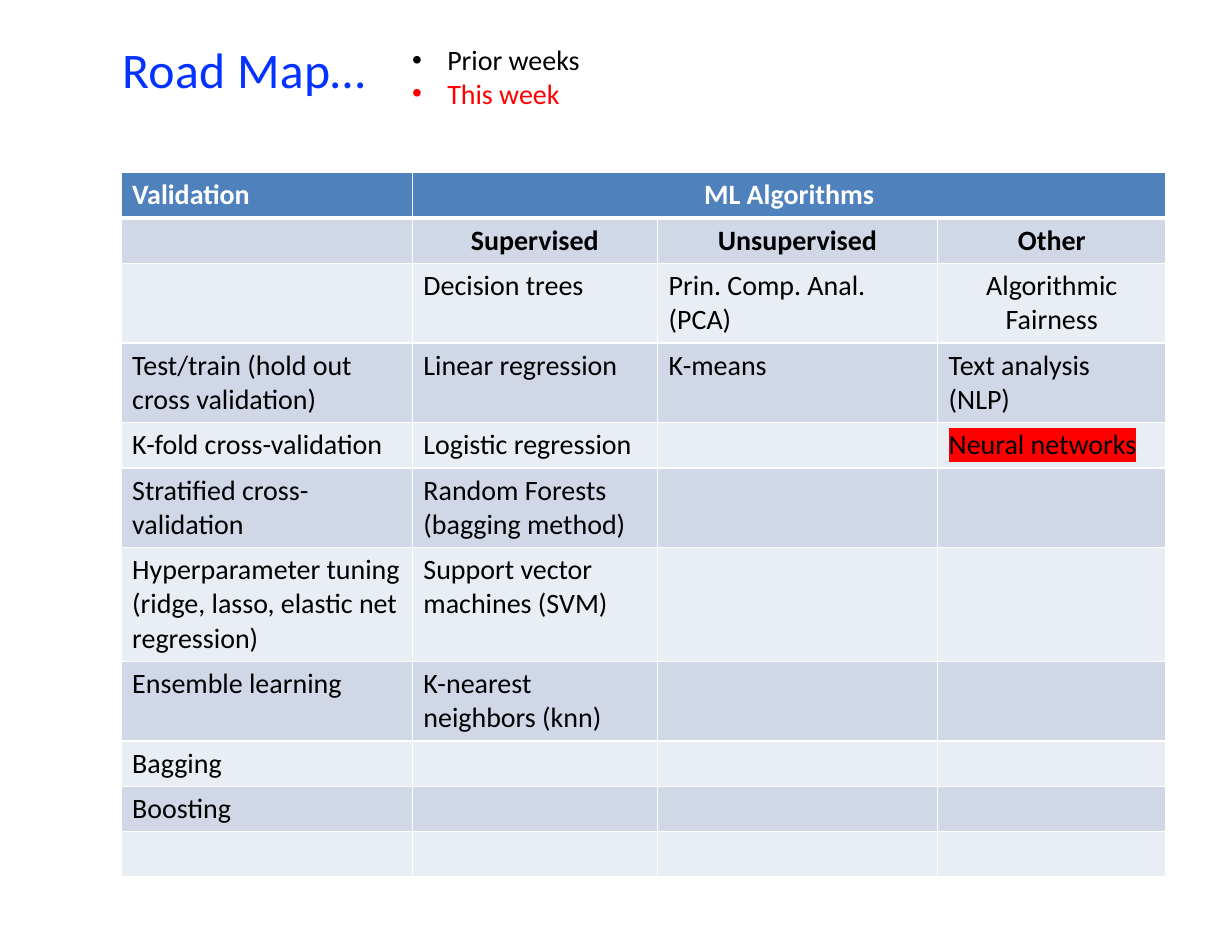
from lxml.etree import SubElement
from pptx import Presentation
from pptx.dml.color import RGBColor
from pptx.enum.text import MSO_ANCHOR, MSO_AUTO_SIZE, PP_ALIGN
from pptx.oxml import parse_xml
from pptx.oxml.ns import nsdecls, qn
from pptx.util import Pt

FONT = "Calibri"
HEADER, BAND_DARK, BAND_LIGHT = "4F81BD", "D0D8E8", "E9EDF4"
BLACK, WHITE, RED, BLUE = "000000", "FFFFFF", "FF0000", "0432FF"
COLUMN_WIDTHS = [187.2, 157.7, 180, 146.9]
SINGLE, DOUBLE, TRIPLE = 28.7, 50.4, 72
ROADMAP = [
    (SINGLE, ["Validation", "ML Algorithms"]),
    (SINGLE, ["", "Supervised", "Unsupervised", "Other"]),
    (DOUBLE, ["", "Decision trees", "Prin. Comp. Anal. (PCA)", "Algorithmic Fairness"]),
    (DOUBLE, ["Test/train (hold out cross validation)", "Linear regression",
              "K-means", "Text analysis (NLP)"]),
    (SINGLE, ["K-fold cross-validation", "Logistic regression", "", "Neural networks"]),
    (DOUBLE, ["Stratified cross-validation", "Random Forests (bagging method)"]),
    (TRIPLE, ["Hyperparameter tuning (ridge, lasso, elastic net regression)",
              "Support vector machines (SVM)"]),
    (DOUBLE, ["Ensemble learning", "K-nearest neighbors (knn)"]),
    (SINGLE, ["Bagging"]),
    (SINGLE, ["Boosting"]),
    (SINGLE, []),
]
CENTERED = {"ML Algorithms", "Supervised", "Unsupervised", "Other", "Algorithmic Fairness"}
THIS_WEEK = {"Neural networks"}


def paint(target, color):
    target.rgb = RGBColor.from_string(color)


def style_span(span, size, color, bold=None):
    span.font.name = FONT
    span.font.size = Pt(size)
    span.font.bold = bold
    paint(span.font.color, color)


def place(shape, box):
    shape.left, shape.top, shape.width, shape.height = (Pt(value) for value in box)


def highlight(span, color):
    mark = parse_xml(f'<a:highlight {nsdecls("a")}><a:srgbClr val="{color}"/></a:highlight>')
    span.font._element.find(qn("a:solidFill")).addnext(mark)


def set_borders(cell, bottom_width):
    properties = cell._tc.get_or_add_tcPr()
    for index, side in enumerate("LRTB"):
        width = Pt(bottom_width if side == "B" else 1)
        line = parse_xml(
            f'<a:ln{side} {nsdecls("a")} w="{width}"><a:solidFill>'
            f'<a:srgbClr val="{WHITE}"/></a:solidFill></a:ln{side}>')
        properties.insert(index, line)


def add_title(page, box):
    title = page.shapes.title
    place(title, box)
    frame = title.text_frame
    frame.text = "Road Map…"
    frame.auto_size = MSO_AUTO_SIZE.NONE
    frame.vertical_anchor = MSO_ANCHOR.TOP
    frame.margin_left = frame.margin_right = frame.margin_bottom = 0
    frame.margin_top = Pt(1.4)
    para = frame.paragraphs[0]
    para.alignment = PP_ALIGN.LEFT
    para.space_before = Pt(1.4)
    para._p.get_or_add_pPr().set("marL", str(Pt(0.72)))
    style_span(para.runs[0], 32, BLUE)
    para.runs[0].font._element.set("spc", "20")


def add_legend(page, box):
    legend = page.placeholders[1]
    place(legend, box)
    frame = legend.text_frame
    frame.text = "Prior weeks\nThis week"
    frame.auto_size = MSO_AUTO_SIZE.NONE
    for para, color in zip(frame.paragraphs, [BLACK, RED]):
        para.space_before = Pt(0)
        properties = para._p.get_or_add_pPr()
        properties.set("marL", str(Pt(22.5)))
        properties.set("indent", str(-Pt(22.5)))
        SubElement(properties, qn("a:buFont")).set("typeface", "Arial")
        SubElement(properties, qn("a:buChar")).set("char", "•")
        style_span(para.runs[0], 18, color)


def fill_cell(cell, text, row_index):
    band = BAND_DARK if row_index % 2 else BAND_LIGHT
    cell.fill.solid()
    paint(cell.fill.fore_color, band if row_index else HEADER)
    set_borders(cell, 1 if row_index else 3)
    if not text:
        return
    cell.text_frame.text = text
    para = cell.text_frame.paragraphs[0]
    para.alignment = PP_ALIGN.CENTER if text in CENTERED else PP_ALIGN.LEFT
    span = para.runs[0]
    style_span(span, 18, BLACK if row_index else WHITE, row_index < 2)
    if text in THIS_WEEK:
        highlight(span, RED)


def add_roadmap(page, box):
    left, top, width, height = (Pt(value) for value in box)
    table = page.shapes.add_table(
        len(ROADMAP), len(COLUMN_WIDTHS), left, top, width, height).table
    for column, column_width in zip(table.columns, COLUMN_WIDTHS):
        column.width = Pt(column_width)
    for row_index, (row_height, texts) in enumerate(ROADMAP):
        table.rows[row_index].height = Pt(row_height)
        for column_index in range(len(COLUMN_WIDTHS)):
            text = texts[column_index] if column_index < len(texts) else ""
            fill_cell(table.cell(row_index, column_index), text, row_index)
    table.cell(0, 1).merge(table.cell(0, 3))


def build_deck():
    deck = Presentation()
    deck.slide_width, deck.slide_height = Pt(792), Pt(612)
    page = deck.slides.add_slide(deck.slide_layouts[1])
    add_title(page, (77.8, 23.8, 476.6, 41))
    add_roadmap(page, (77.8, 110.9, sum(COLUMN_WIDTHS), sum(row[0] for row in ROADMAP)))
    add_legend(page, (257.8, 23.8, 203.8, 51.1))
    return deck


build_deck().save("out.pptx")
